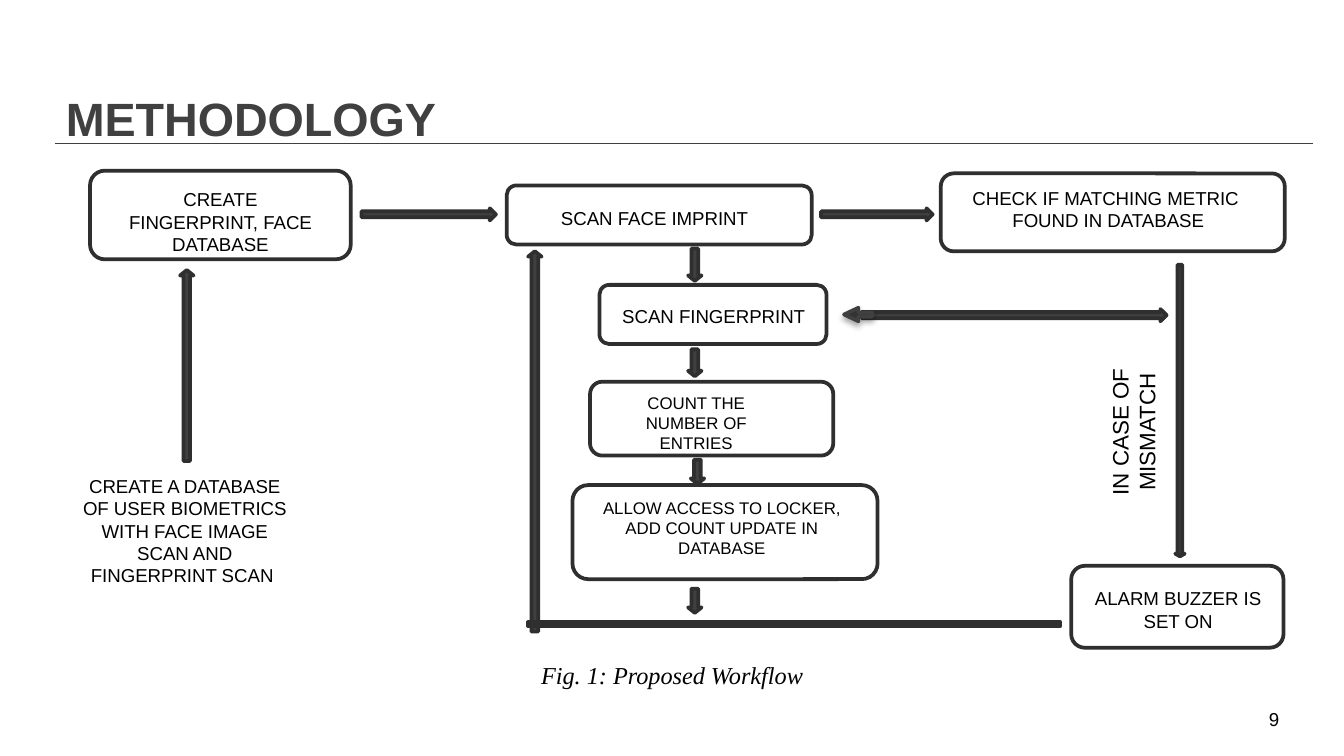
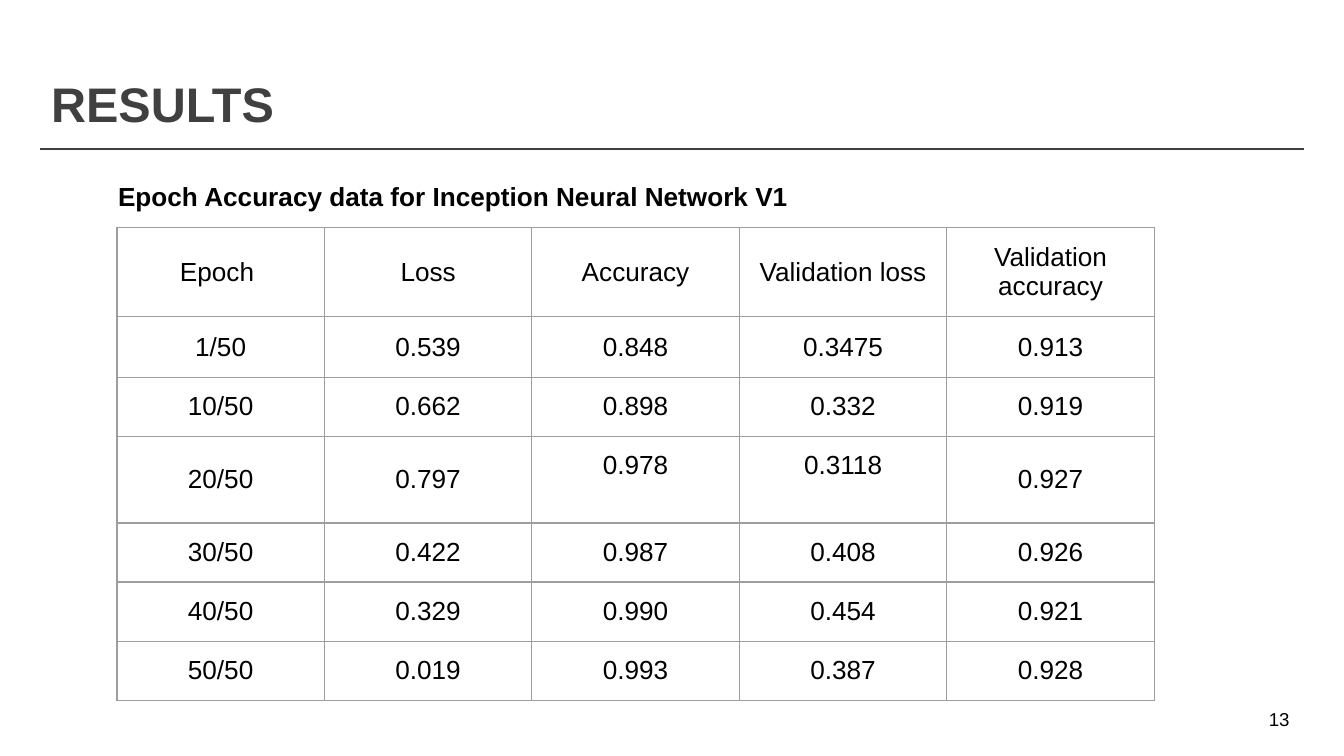
from lxml import etree
from pptx import Presentation
from pptx.dml.color import RGBColor
from pptx.enum.shapes import MSO_CONNECTOR as Connector, MSO_SHAPE as Shape
from pptx.enum.text import MSO_ANCHOR as Anchor, MSO_AUTO_SIZE as AutoSize, PP_ALIGN as Align
from pptx.oxml.ns import qn
from pptx.util import Inches, Pt

BLACK, WHITE = "000000", "FFFFFF"
TITLE_GRAY, RULE_GRAY, OUTLINE, GRID_GRAY = "404040", "3F3F3F", "2F2F2F", "9E9E9E"
SANS, SERIF = "Arial", "Times New Roman"

NODES = [
    ((0.67, 1.27, 1.94, 0.66), (0.84, 1.36, 1.6, 0.59),
     "CREATE FINGERPRINT, FACE DATABASE", 10),
    ((3.77, 1.38, 2.27, 0.44), (4.07, 1.5, 1.6, 0.25), "SCAN FACE IMPRINT", 10),
    ((7, 1.29, 2.56, 0.58), (7.17, 1.35, 2.15, 0.42),
     "CHECK IF MATCHING METRIC  FOUND IN DATABASE", 10),
    ((7.97, 4.21, 1.58, 0.61), (8.02, 4.33, 1.49, 0.42), "ALARM BUZZER IS SET ON", 10),
    ((4.46, 2.12, 1.69, 0.44), (4.51, 2.23, 1.6, 0.25), "SCAN FINGERPRINT", 10),
    ((4.39, 2.84, 1.81, 0.55), (4.5, 2.88, 1.36, 0.54), "COUNT THE NUMBER OF ENTRIES", 9),
    ((4.26, 3.61, 2.27, 0.7), (4.37, 3.66, 2, 0.54),
     "ALLOW ACCESS TO LOCKER, ADD COUNT UPDATE IN DATABASE", 9),
]
RIGHT_ARROWS = [(2.69, 1.55, 1, 0.09), (6.11, 1.55, 0.83, 0.09), (6.41, 2.3, 2.27, 0.09)]
VERTICAL_ARROWS = [
    (8.78, 1.97, 4.14, 0.07), (3.98, 4.7, 1.87, 0.1), (5.17, 1.85, 2.09, 0.1),
    (5.17, 2.6, 2.8, 0.1), (5.19, 3.42, 3.6, 0.1), (5.17, 4.38, 4.56, 0.1),
    (1.39, 3.43, 2.01, 0.1),
]
RESULTS = [
    ["Epoch ", "Loss", "Accuracy", "Validation loss", "Validation accuracy"],
    ["1/50", "0.539", "0.848", "0.3475", "0.913"],
    ["10/50", "0.662", "0.898", "0.332", "0.919"],
    ["20/50", "0.797", "0.978", "0.3118", "0.927"],
    ["30/50", "0.422", "0.987", "0.408", "0.926"],
    ["40/50", "0.329", "0.990", "0.454", "0.921"],
    ["50/50", "0.019", "0.993", "0.387", "0.928"],
]
ROW_HEIGHTS = [0.13, 0.45, 0.44, 0.56, 0.44, 0.44, 0.44]
TABLE_WIDTH = 7.72
RAISED_CELLS = {(3, 2), (3, 3)}


def color(value):
    """Turn a hex string into a colour."""
    return RGBColor.from_string(value)


def inches(values):
    """Turn numbers into lengths."""
    return [Inches(value) for value in values]


def set_margins(target, margin):
    """Give a text frame or a cell the same margin on every side."""
    target.margin_left = target.margin_right = Inches(margin)
    target.margin_top = target.margin_bottom = Inches(margin)


def write(frame, text, size, align=Align.LEFT, font=SANS, bold=False, italic=False,
          ink=BLACK):
    """Fill a text frame with one formatted paragraph."""
    frame.text = text
    paragraph = frame.paragraphs[0]
    paragraph.alignment = align
    paragraph.line_spacing = 1.0
    for run in paragraph.runs:
        run.font.name = font
        run.font.size = Pt(size)
        run.font.bold = bold
        run.font.italic = italic
        run.font.color.rgb = color(ink)


def add_text(slide, box, text, size, align=Align.CENTER, margin=0.04, **style):
    """Add a wrapping text box that grows with its text."""
    shape = slide.shapes.add_textbox(*inches(box))
    frame = shape.text_frame
    frame.word_wrap = True
    frame.auto_size = AutoSize.SHAPE_TO_FIT_TEXT
    set_margins(frame, margin)
    write(frame, text, size, align, **style)
    return shape


def paint(shape, fill=TITLE_GRAY, line=OUTLINE):
    """Give a shape a flat fill and a 2 pt outline."""
    shape.shadow.inherit = False
    shape.fill.solid()
    shape.fill.fore_color.rgb = color(fill)
    shape.line.color.rgb = color(line)
    shape.line.width = Pt(2)


def add_block(slide, kind, box, **colors):
    """Add a painted preset shape."""
    shape = slide.shapes.add_shape(kind, *inches(box))
    paint(shape, **colors)
    return shape


def add_node(slide, box, text_box, text, size):
    """Add a rounded workflow step with its label."""
    add_block(slide, Shape.ROUNDED_RECTANGLE, box, fill=WHITE)
    add_text(slide, text_box, text, size)


def add_vertical_arrow(slide, center, tail, tip, width):
    """Add a block arrow that points up or down from tail to tip."""
    head = 0.04 if width == 0.1 else 0.02
    neck = tip - head if tip > tail else tip + head
    half, shaft = width / 2, width / 4
    points = [(center - half, neck), (center - shaft, neck), (center - shaft, tail),
              (center + shaft, tail), (center + shaft, neck), (center + half, neck),
              (center, tip)]
    corners = [tuple(inches(point)) for point in points]
    builder = slide.shapes.build_freeform(*corners[0])
    builder.add_line_segments(corners[1:], close=True)
    paint(builder.convert_to_shape())


def add_soft_shadow(shape):
    """Add a faint shadow that falls straight down."""
    effects = shape._element.spPr.find(qn("a:effectLst"))
    shadow = etree.SubElement(effects, qn("a:outerShdw"), blurRad=str(Pt(3)),
                              dist=str(Pt(1.8)), dir="5400000", rotWithShape="0")
    ink = etree.SubElement(shadow, qn("a:srgbClr"), val=BLACK)
    etree.SubElement(ink, qn("a:alpha"), val="35000")


def add_rule(slide, left, right, top):
    """Add the thin line below the title."""
    line = slide.shapes.add_connector(
        Connector.STRAIGHT, *inches((left, top, right, top)))
    line.line.color.rgb = color(RULE_GRAY)
    line.line.width = Pt(0.75)
    etree.SubElement(line._element.spPr, qn("a:effectLst"))


def add_slide(presentation, title, title_box, size, rule, number):
    """Add a slide with its title, rule and page number."""
    slide = presentation.slides.add_slide(presentation.slide_layouts[0])
    subtitle = slide.placeholders[1]._element
    subtitle.getparent().remove(subtitle)
    shape = slide.shapes.title
    shape.left, shape.top, shape.width, shape.height = inches(title_box)
    frame = shape.text_frame
    frame.word_wrap = True
    frame.auto_size = AutoSize.NONE
    frame.vertical_anchor = Anchor.TOP
    set_margins(frame, 0.08)
    write(frame, title, size, bold=True, ink=TITLE_GRAY)
    add_rule(slide, *rule)
    add_text(slide, (9.4, 5.23, 0.32, 0.2), number, 10, Align.LEFT)
    return slide


def set_borders(cell):
    """Draw a thin gray border on every side of a cell."""
    properties = cell._tc.get_or_add_tcPr()
    for position, side in enumerate(("lnL", "lnR", "lnT", "lnB")):
        line = etree.Element(qn(f"a:{side}"), w=str(Pt(0.75)))
        fill = etree.SubElement(line, qn("a:solidFill"))
        etree.SubElement(fill, qn("a:srgbClr"), val=GRID_GRAY)
        properties.insert(position, line)


def add_results_table(slide, left, top):
    """Add the table of training results."""
    columns = len(RESULTS[0])
    box = (left, top, TABLE_WIDTH, sum(ROW_HEIGHTS))
    table = slide.shapes.add_table(len(RESULTS), columns, *inches(box)).table
    table.first_row = table.horz_banding = False
    for row, height in zip(table.rows, ROW_HEIGHTS):
        row.height = Inches(height)
    for row_index, values in enumerate(RESULTS):
        for column_index, value in enumerate(values):
            cell = table.cell(row_index, column_index)
            cell.fill.background()
            cell.vertical_anchor = Anchor.MIDDLE
            set_margins(cell, 0.1)
            if (row_index, column_index) in RAISED_CELLS:
                cell.margin_bottom = Inches(0.31)
            write(cell.text_frame, value, 14, Align.CENTER)
            set_borders(cell)


def build_methodology(presentation):
    """Build the workflow slide."""
    slide = add_slide(presentation, "METHODOLOGY", (0.41, 0.59, 9.4, 0.48), 25,
                      (0.41, 9.77, 1.07), "9")
    add_text(slide, (0.18, 4.87, 9.64, 0.3), "Fig. 1: Proposed Workflow", 13,
             font=SERIF, italic=True)
    for node in NODES:
        add_node(slide, *node)
    for box in RIGHT_ARROWS:
        add_block(slide, Shape.RIGHT_ARROW, box)
    for arrow in VERTICAL_ARROWS:
        add_vertical_arrow(slide, *arrow)
    add_block(slide, Shape.RECTANGLE, (3.93, 4.63, 3.96, 0.03))
    mismatch = add_text(slide, (7.91, 2.97, 1.05, 0.49), "IN CASE OF MISMATCH", 12)
    mismatch.rotation = 270
    add_text(slide, (0.56, 3.49, 1.63, 0.92),
             "CREATE A DATABASE OF USER BIOMETRICS WITH FACE IMAGE SCAN AND "
             "FINGERPRINT SCAN ", 10)
    back_head = add_block(slide, Shape.RIGHT_ARROW, (6.28, 2.29, 0.21, 0.1),
                          fill="333333", line=TITLE_GRAY)
    back_head.adjustments[0] = 0.32
    back_head.adjustments[1] = 1.06
    back_head.rotation = 179.9
    add_soft_shadow(back_head)


def build_results(presentation):
    """Build the results slide."""
    slide = add_slide(presentation, "RESULTS", (0.3, 0.47, 9.4, 0.67), 26,
                      (0.3, 9.7, 1.11), "13")
    add_results_table(slide, 0.87, 1.69)
    add_text(slide, (0.78, 1.24, 5.38, 0.44),
             "Epoch Accuracy data for Inception Neural Network V1", 14, Align.LEFT,
             margin=0.1, bold=True)


def main():
    """Build and save the presentation."""
    presentation = Presentation()
    presentation.slide_width = Inches(10)
    presentation.slide_height = Inches(10 * 9 / 16)
    build_methodology(presentation)
    build_results(presentation)
    presentation.save("out.pptx")


main()
